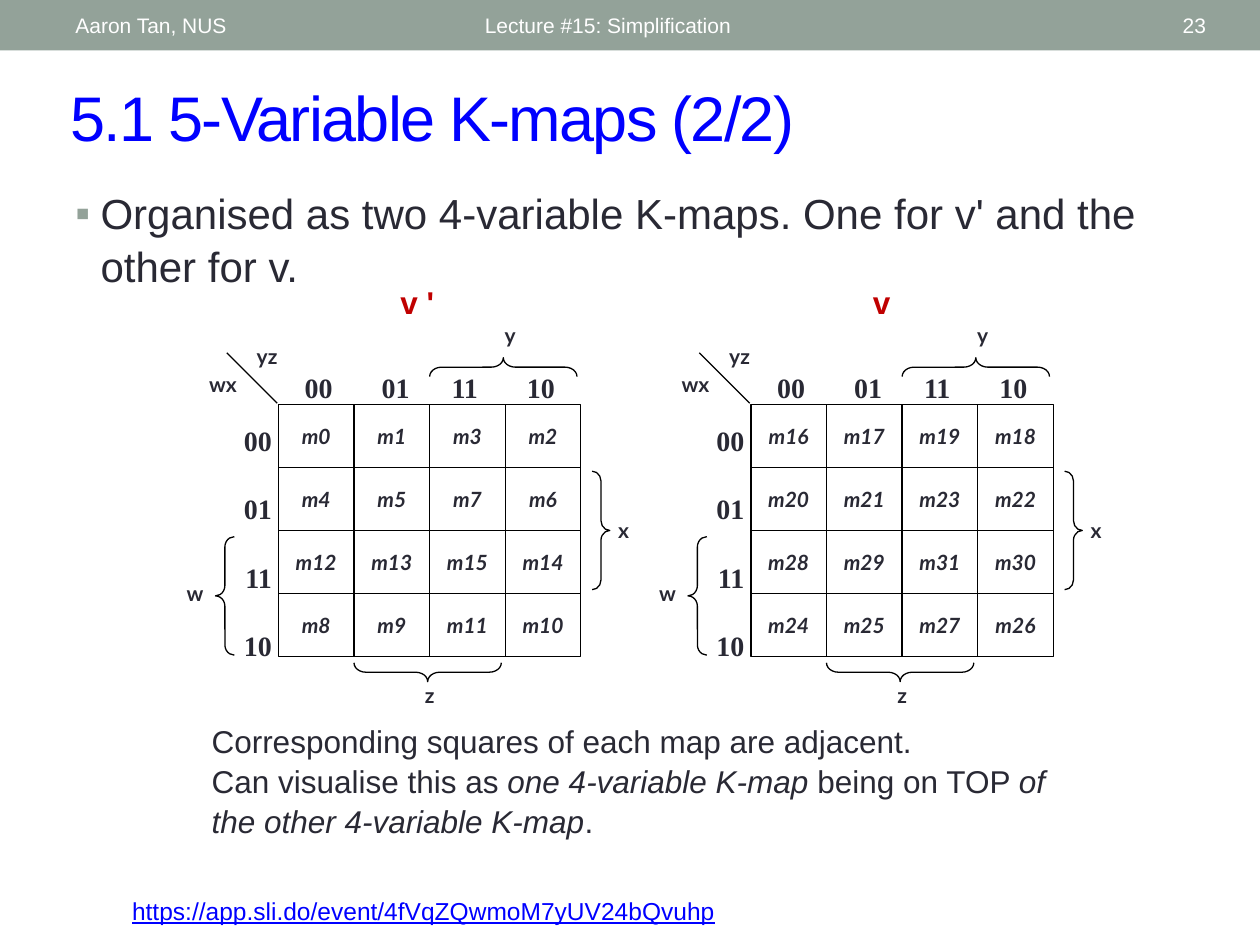
import pptx
import pptx.dml.color
import pptx.enum.shapes
import pptx.enum.text
import pptx.oxml.ns
import pptx.util
from lxml import etree

Pt = pptx.util.Pt
RGB = pptx.dml.color.RGBColor
SHAPE = pptx.enum.shapes.MSO_SHAPE
ALIGN = pptx.enum.text.PP_ALIGN
ANCHOR = pptx.enum.text.MSO_ANCHOR
qn = pptx.oxml.ns.qn

SAGE = RGB(0x93, 0xA2, 0x99)
BLUE = RGB(0x00, 0x00, 0xFF)
INK = RGB(0x29, 0x29, 0x34)
RED = RGB(0xC0, 0x00, 0x00)
WHITE = RGB(0xFF, 0xFF, 0xFF)
BLACK = RGB(0x00, 0x00, 0x00)

GRAY = (0, 1, 3, 2)
CODES = [f"{n:02b}" for n in GRAY]
CELL_W, CELL_H = 43.2, 36
LABEL = dict(font="Lato", size=12, bold=True, align=ALIGN.CENTER)
CODE = dict(font="Times New Roman", size=16, bold=True)


def format_font(font, name, size, color, bold=False, italic=False, underline=False):
    font.name, font.size = name, Pt(size)
    font.color.rgb = color
    font.bold, font.italic, font.underline = bold, italic, underline


def add_text(s, box, *paragraphs, font="Arial", size=18, color=INK, bold=False,
             italic=False, underline=False, align=ALIGN.LEFT, anchor=ANCHOR.TOP,
             spacing=None, gap=0, tabs=(), bullet=None, indent=0):
    """Add a text box; a paragraph is a string or a list of (text, italic) runs."""
    tf = s.shapes.add_textbox(*map(Pt, box)).text_frame
    tf.word_wrap, tf.vertical_anchor = True, anchor
    for i, content in enumerate(paragraphs):
        p = tf.add_paragraph() if i else tf.paragraphs[0]
        p.alignment, p.line_spacing = align, spacing
        if i and gap:
            p.space_before = Pt(gap)
        if bullet:
            add_bullet(p, bullet, indent)
        if tabs:
            add_tabs(p, tabs)
        runs = [(content, italic)] if isinstance(content, str) else content
        for text, slanted in runs:
            r = p.add_run()
            r.text = text
            format_font(r.font, font, size, color, bold, slanted, underline)


def add_bullet(p, char, indent):
    pPr = p._p.get_or_add_pPr()
    pPr.set("marL", str(Pt(indent)))
    pPr.set("indent", str(-Pt(indent)))
    color = etree.SubElement(pPr, qn("a:buClr"))
    etree.SubElement(color, qn("a:srgbClr"), val=str(SAGE))
    etree.SubElement(pPr, qn("a:buFont"), typeface="Arial")
    etree.SubElement(pPr, qn("a:buChar"), char=char)


def add_tabs(p, stops):
    tab_list = etree.SubElement(p._p.get_or_add_pPr(), qn("a:tabLst"))
    for stop in stops:
        etree.SubElement(tab_list, qn("a:tab"), pos=str(Pt(stop)), algn="l")


def add_line(s, x1, y1, x2, y2):
    line = s.shapes.add_connector(
        pptx.enum.shapes.MSO_CONNECTOR.STRAIGHT, *map(Pt, (x1, y1, x2, y2)))
    line.line.color.rgb, line.line.width = BLACK, Pt(0.75)
    etree.SubElement(line._element.spPr, qn("a:effectLst"))
    return line


def add_outline(s, kind, box, rotation=0, curl=None):
    sp = s.shapes.add_shape(kind, *map(Pt, box))
    sp.shadow.inherit = False
    sp.fill.background()
    sp.line.color.rgb, sp.line.width = BLACK, Pt(0.75)
    sp.rotation = rotation
    if curl:
        sp.adjustments[0] = curl
    return sp


def add_header(s, x, y, w, h):
    band = s.shapes.add_shape(SHAPE.RECTANGLE, *map(Pt, (x, y, w, h)))
    band.shadow.inherit = False
    band.fill.solid()
    band.fill.fore_color.rgb = SAGE
    band.line.fill.background()
    for left, width, text, align in (
            (36, 228, "Aaron Tan, NUS", ALIGN.LEFT),
            (270, 324, "Lecture #15: Simplification", ALIGN.LEFT),
            (627.8, 68.4, "23", ALIGN.RIGHT)):
        add_text(s, (x + left, y + 1.4, width, h - 2.8), text, size=12,
                 color=WHITE, align=align, anchor=ANCHOR.MIDDLE)


def set_title(s, x, y, w, h, text):
    sp = s.shapes.title
    sp.left, sp.top, sp.width, sp.height = map(Pt, (x, y, w, h))
    tf = sp.text_frame
    tf.vertical_anchor = ANCHOR.MIDDLE
    tf.auto_size = pptx.enum.text.MSO_AUTO_SIZE.NONE
    p = tf.paragraphs[0]
    p.alignment = ALIGN.LEFT
    r = p.add_run()
    r.text = text
    format_font(r.font, "Arial", 36, BLUE)
    r._r.get_or_add_rPr().set("spc", "-100")


def add_grid(s, x, y, base):
    w, h = 4 * CELL_W, 4 * CELL_H
    frame = add_outline(s, SHAPE.RECTANGLE, (x, y, w, h))
    for i in (1, 2, 3):
        across = add_line(s, x, y + i * CELL_H, x + w, y + i * CELL_H)
        down = add_line(s, x + i * CELL_W, y, x + i * CELL_W, y + h)
        if i == 2:
            across.begin_connect(frame, 1)
            across.end_connect(frame, 3)
            down.begin_connect(frame, 0)
            down.end_connect(frame, 2)
    for row, high in enumerate(GRAY):
        for col, low in enumerate(GRAY):
            box = (x + col * CELL_W, y + row * CELL_H + 7.2, CELL_W, CELL_H - 7.2)
            add_text(s, box, f"m{base + 4 * high + low}", italic=True, **LABEL)


def add_kmap(s, x, y, name, name_width, base):
    """Draw a 4-variable K-map whose grid starts at (x, y)."""
    add_grid(s, x, y, base)
    add_text(s, (x + 62.6, y - 74.2, name_width, 28.8), name, color=RED,
             bold=True, spacing=1.05)
    add_text(s, (x - 28.4, y + 7.2, 31.7, 149), *CODES,
             align=ALIGN.RIGHT, gap=20, **CODE)
    add_text(s, (x + 7.9, y - 23, 161.3, 28.8), "\t".join(CODES),
             tabs=(44, 84, 127), **CODE)
    add_line(s, x - 0.7, y - 0.7, x - 29.5, y - 29.5)
    for kind, box, rotation, curl in (
            (SHAPE.LEFT_BRACE, (-36, 75.6, 10.8, 67.7), 0, 0.54),
            (SHAPE.RIGHT_BRACE, (179.3, 38.2, 10.1, 67.7), 0, 0.55),
            (SHAPE.LEFT_BRACE, (123.1, -63.4, 10.8, 84.2), 90, 0.63),
            (SHAPE.LEFT_BRACE, (79.9, 110.9, 10.8, 84.2), 270, 0.63)):
        add_outline(s, kind, (x + box[0], y + box[1], *box[2:]), rotation, curl)
    for text, left, top, width in (
            ("w", -63.4, 97.2, 31.7), ("x", 181.4, 61.2, 31.7),
            ("y", 116.6, -50.4, 31.7), ("z", 70.6, 155.5, 31.7),
            ("wx", -50.4, -22.3, 37.4), ("yz", -25.2, -38.2, 37.4)):
        add_text(s, (x + left, y + top, width, 23), text, **LABEL)


def add_caption(s, x, y, w, h):
    add_text(s, (x, y, w, h), "Corresponding squares of each map are adjacent.",
             [("Can visualise this as ", False), ("one 4-variable K-map", True),
              (" being on TOP ", False), ("of the other 4-variable K-map", True),
              (".", False)], spacing=1.05)


def main():
    prs = pptx.Presentation()
    prs.slide_width, prs.slide_height = Pt(720), Pt(540)
    s = prs.slides.add_slide(prs.slide_layouts[5])
    add_header(s, 0, 0, 720, 28.8)
    set_title(s, 33.1, 41, 653, 50.4, "5.1 5-Variable K-maps (2/2)")
    add_text(s, (36, 102.2, 648, 72),
             "Organised as two 4-variable K-maps. One for v' and the other for v.",
             size=24, spacing=1.05, bullet="▪", indent=14.4)
    add_kmap(s, 159.1, 231.1, "v '", 36, 0)
    add_kmap(s, 429.1, 231.1, "v", 30.2, 16)
    add_caption(s, 113.8, 408.2, 509.8, 72)
    add_text(s, (68.4, 508.3, 468, 24.5),
             "https://app.sli.do/event/4fVqZQwmoM7yUV24bQvuhp",
             size=14, color=BLUE, underline=True)
    prs.save("out.pptx")


if __name__ == "__main__":
    main()
